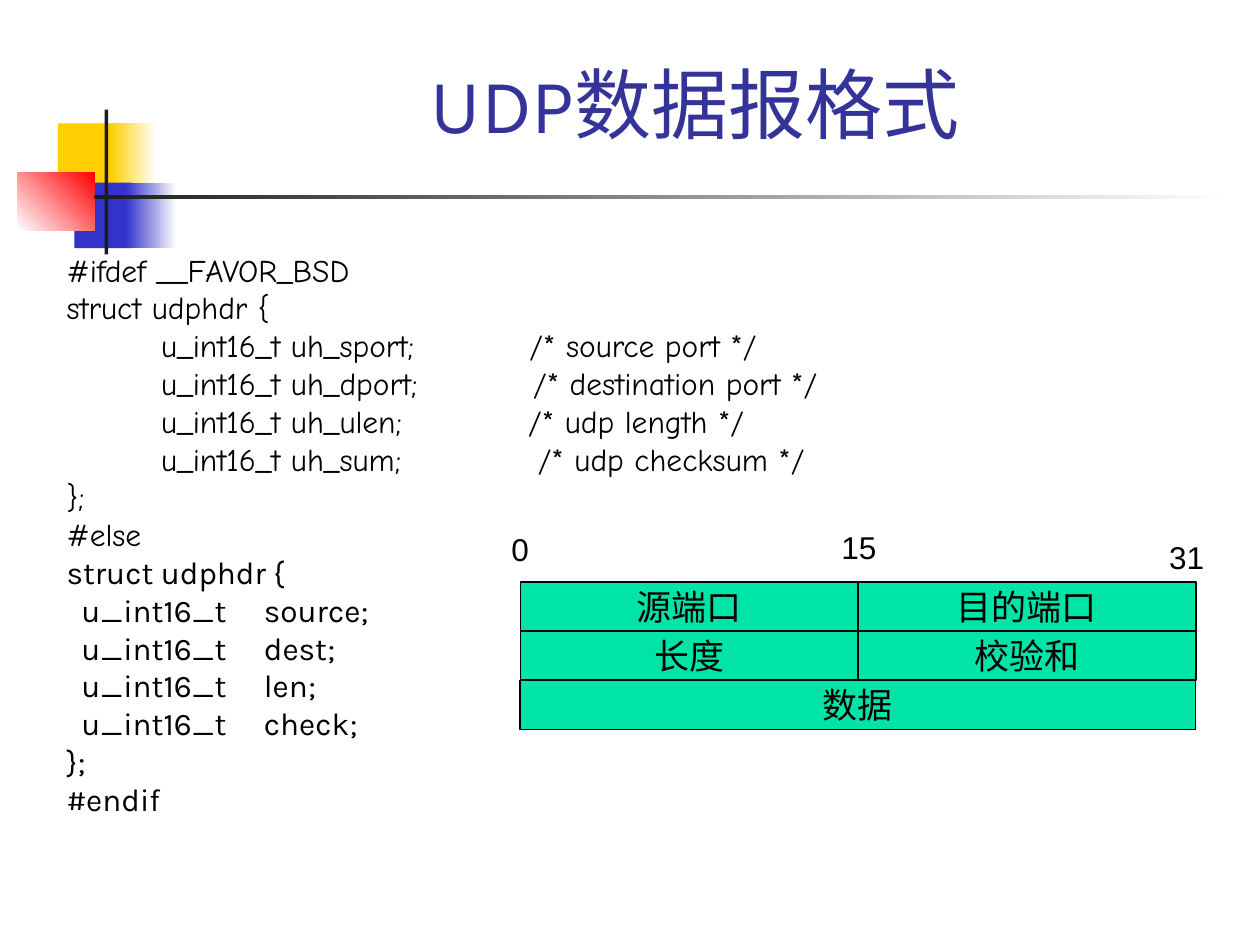
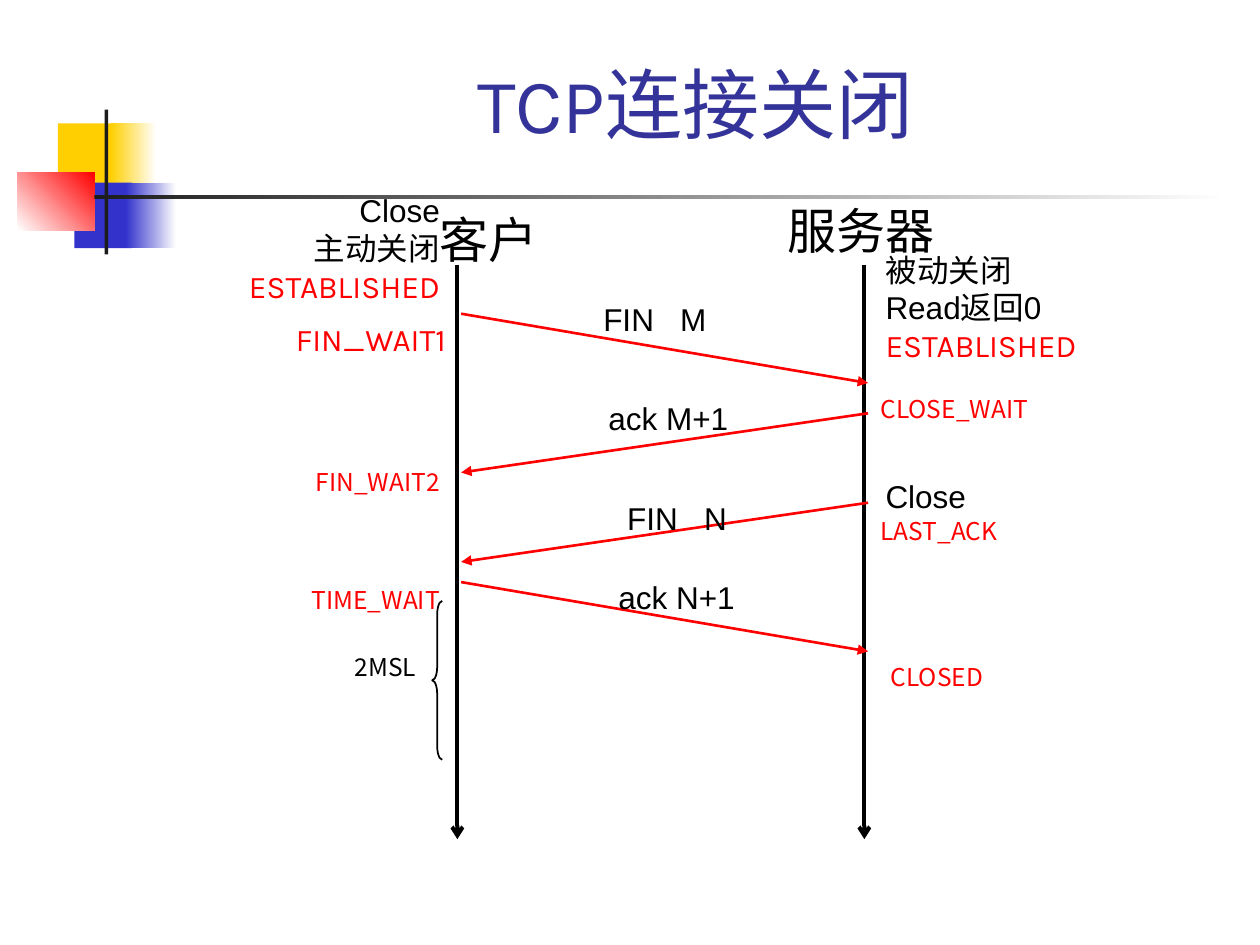
from dataclasses import dataclass

from lxml.etree import SubElement
from pptx import Presentation
from pptx.dml.color import RGBColor
from pptx.enum.shapes import MSO_CONNECTOR, MSO_SHAPE
from pptx.enum.text import MSO_ANCHOR, MSO_AUTO_SIZE, PP_ALIGN
from pptx.oxml.ns import qn
from pptx.util import Emu, Pt


@dataclass(frozen=True)
class Style:
    font: str
    size: int
    color: str
    spacing: float = 1.0


class Theme:
    white, black, ink = "FFFFFF", "000000", "1C1C1C"
    yellow, blue, red, green = "FFCF01", "3333CC", "FF0000", "00E4A8"
    title = Style("Karla", 44, "333399")
    head = Style("Arial", 28, black)
    text = Style("Arial", 18, black)
    cell = Style("Arial", 20, black)
    bsd_code = Style("Comic Neue", 18, black)
    code = Style("Karla", 18, black)
    state = Style("Karla", 18, red)
    small_state = Style("Noto Sans CJK JP", 14, red, 0.8)
    small_text = Style("Noto Sans CJK JP", 14, black, 0.8)
    axis_width, message_width, thin_width = 2.25, 1.5, 1


PX = 9144
SLIDE_SIZE = (1000, 750)
TITLE_BOX = (126, 23, 852, 100)
LEFT, RIGHT, CENTER = PP_ALIGN.LEFT, PP_ALIGN.RIGHT, PP_ALIGN.CENTER

DECOR = [
    ((46, 98, 48, 52), [Theme.yellow], 0),
    ((88, 98, 36, 52), [Theme.yellow, Theme.white], 0),
    ((59, 145, 46, 52), [Theme.blue], 0),
    ((100, 145, 40, 52), [Theme.blue, Theme.white], 0),
    ((14, 137, 61, 46), [Theme.white, Theme.red], 45),
    ((83, 87, 3, 115), [Theme.ink], 0),
    ((75, 155, 900, 3), [Theme.ink, Theme.white], 0),
]

UDP_TITLE = "UDP数据报格式"
BSD_CODE = """#ifdef __FAVOR_BSD
struct udphdr {
         u_int16_t uh_sport;           /* source port */
         u_int16_t uh_dport;           /* destination port */
         u_int16_t uh_ulen;            /* udp length */
         u_int16_t uh_sum;             /* udp checksum */
};
#else"""
LINUX_CODE = """struct udphdr {
  u_int16_t     source;
  u_int16_t     dest;
  u_int16_t     len;
  u_int16_t     check;
};
#endif"""
CODE_BOX = (43, 194, 693, 490)
HEADER_ROWS = [["源端口", "目的端口"], ["长度", "校验和"], ["数据"]]
HEADER_GRID = (413, 462, 536, 39)
BIT_MARKS = [("0", (396, 416, 34, 40)), ("15", (658, 414, 48, 40)),
             ("31", (918, 422, 48, 40))]

TCP_TITLE = "TCP连接关闭"
CLIENT_X, SERVER_X = 363, 686
AXIS_TOP, AXIS_BOTTOM = 210, 666
MESSAGE_ENDS = (366, 689)
MESSAGES = [
    ("FIN   M", (469, 233, 126, 40), 249, 304, True),
    ("ack M+1", (473, 312, 216, 40), 375, 328, False),
    ("FIN   N", (488, 391, 126, 40), 446, 399, False),
    ("ack N+1", (481, 454, 216, 40), 462, 517, True),
]
PARTIES = [("客户", (339, 161, 120, 57)), ("服务器", (615, 154, 160, 57))]
CLOSE_NOTES = [
    ((119, 147, 240, 130), RIGHT,
     [[("Close", Theme.text)],
      [("主动关闭", Theme.text), ("ESTABLISHED", Theme.state)]]),
    ((693, 194, 200, 100), LEFT,
     [[("被动关闭", Theme.text)],
      [("Read返回0 ", Theme.text), ("ESTABLISHED", Theme.state)]]),
    ((693, 374, 106, 40), LEFT, [[("Close", Theme.text)]]),
]
STATES = [
    ("FIN_WAIT2", (141, 370, 218, 29), RIGHT, Theme.small_state),
    ("TIME_WAIT", (141, 464, 218, 29), RIGHT, Theme.small_state),
    ("2MSL", (122, 517, 218, 29), RIGHT, Theme.small_text),
    ("CLOSE_WAIT", (689, 312, 244, 29), LEFT, Theme.small_state),
    ("LAST_ACK", (689, 409, 193, 29), LEFT, Theme.small_state),
    ("CLOSED", (697, 525, 193, 29), LEFT, Theme.small_state),
]
FIN_WAIT1 = ("FIN_WAIT1", (225, 249, 147, 40))
WAIT_BRACE = (343, 477, 8, 126)
BRACE_CURVE = 1.33


def emu(values):
    return [Emu(v * PX) for v in values]


def rgb(value):
    return RGBColor.from_string(value)


def format_run(r, style):
    r.font.name = style.font
    r.font.size = Pt(style.size)
    r.font.color.rgb = rgb(style.color)


def place(sp, box):
    sp.left, sp.top, sp.width, sp.height = emu(box)


def add_preset(slide, kind, box, colors=(), angle=0, line=None):
    sp = slide.shapes.add_shape(kind, *emu(box))
    sp.shadow.inherit = False
    if len(colors) == 2:
        sp.fill.gradient()
        sp.fill.gradient_angle = angle
        for stop, color in zip(sp.fill.gradient_stops, colors):
            stop.color.rgb = rgb(color)
    elif colors:
        sp.fill.solid()
        sp.fill.fore_color.rgb = rgb(colors[0])
    else:
        sp.fill.background()
    if line:
        sp.line.color.rgb = rgb(line)
        sp.line.width = Pt(Theme.thin_width)
    else:
        sp.line.fill.background()
    return sp


def add_rich_text(slide, box, paragraphs, align=LEFT, wrap=True):
    tf = slide.shapes.add_textbox(*emu(box)).text_frame
    tf.word_wrap = wrap
    tf.auto_size = MSO_AUTO_SIZE.SHAPE_TO_FIT_TEXT
    for i, runs in enumerate(paragraphs):
        p = tf.add_paragraph() if i else tf.paragraphs[0]
        p.alignment = align
        for text, style in runs:
            r = p.add_run()
            r.text = text
            format_run(r, style)
            if style.spacing != 1:
                p.line_spacing = style.spacing


def add_label(slide, text, box, style=Theme.text, align=LEFT, wrap=True):
    add_rich_text(slide, box, [[(text, style)]], align, wrap)


def add_arrow(slide, start, end, color, width, head):
    line = slide.shapes.add_connector(MSO_CONNECTOR.STRAIGHT, *emu(start + end))
    line.line.color.rgb = rgb(color)
    line.line.width = Pt(width)
    properties = line.element.spPr
    SubElement(properties.find(qn("a:ln")), qn("a:tailEnd"), type=head)
    SubElement(properties, qn("a:effectLst"))


def decorate(prs, layout, slide):
    for i, (box, colors, angle) in enumerate(DECOR):
        sp = add_preset(slide, MSO_SHAPE.RECTANGLE, box, colors, angle)
        prs.slide_master.shapes.element.insert(2 + i, sp.element)
    title = layout.placeholders[0]
    place(title, TITLE_BOX)
    title.text_frame.vertical_anchor = MSO_ANCHOR.BOTTOM
    title.text_frame.auto_size = MSO_AUTO_SIZE.NONE


def set_title(slide, text):
    tf = slide.shapes.title.text_frame
    tf.text = text
    p = tf.paragraphs[0]
    p.alignment = CENTER
    format_run(p.runs[0], Theme.title)


def build_udp(slide):
    set_title(slide, UDP_TITLE)
    left, top, width, height = HEADER_GRID
    for row, cells in enumerate(HEADER_ROWS):
        cell_width = width // len(cells)
        for col, text in enumerate(cells):
            box = (left + col * cell_width, top + row * height, cell_width, height)
            sp = add_preset(slide, MSO_SHAPE.RECTANGLE, box, [Theme.green],
                            line=Theme.black)
            tf = sp.text_frame
            tf.text = text
            tf.word_wrap = False
            tf.vertical_anchor = MSO_ANCHOR.MIDDLE
            p = tf.paragraphs[0]
            p.alignment = CENTER
            format_run(p.runs[0], Theme.cell)
    for text, box in BIT_MARKS:
        add_label(slide, text, box, wrap=False)
    code = [[(line, style)]
            for block, style in ((BSD_CODE, Theme.bsd_code), (LINUX_CODE, Theme.code))
            for line in block.split("\n")]
    add_rich_text(slide, CODE_BOX, code)


def build_tcp(slide):
    set_title(slide, TCP_TITLE)
    for x in (CLIENT_X, SERVER_X):
        add_arrow(slide, (x, AXIS_TOP), (x, AXIS_BOTTOM), Theme.black,
                  Theme.axis_width, "arrow")
    for text, box in PARTIES:
        add_label(slide, text, box, Theme.head)
    for box, align, paragraphs in CLOSE_NOTES:
        add_rich_text(slide, box, paragraphs, align)
    for text, box, client_y, server_y, from_client in MESSAGES:
        ends = list(zip(MESSAGE_ENDS, (client_y, server_y)))
        start, end = ends if from_client else reversed(ends)
        add_arrow(slide, start, end, Theme.red, Theme.message_width, "triangle")
        add_label(slide, text, box)
    for text, box, align, style in STATES:
        add_label(slide, text, box, style, align)
    add_label(slide, *FIN_WAIT1, Theme.state, wrap=False)
    brace = add_preset(slide, MSO_SHAPE.LEFT_BRACE, WAIT_BRACE, line=Theme.black)
    brace.adjustments[0] = BRACE_CURVE


def main():
    prs = Presentation()
    prs.slide_width, prs.slide_height = emu(SLIDE_SIZE)
    layout = prs.slide_layouts[5]
    udp, tcp = (prs.slides.add_slide(layout) for _ in range(2))
    decorate(prs, layout, udp)
    build_udp(udp)
    build_tcp(tcp)
    prs.save("out.pptx")


if __name__ == "__main__":
    main()
